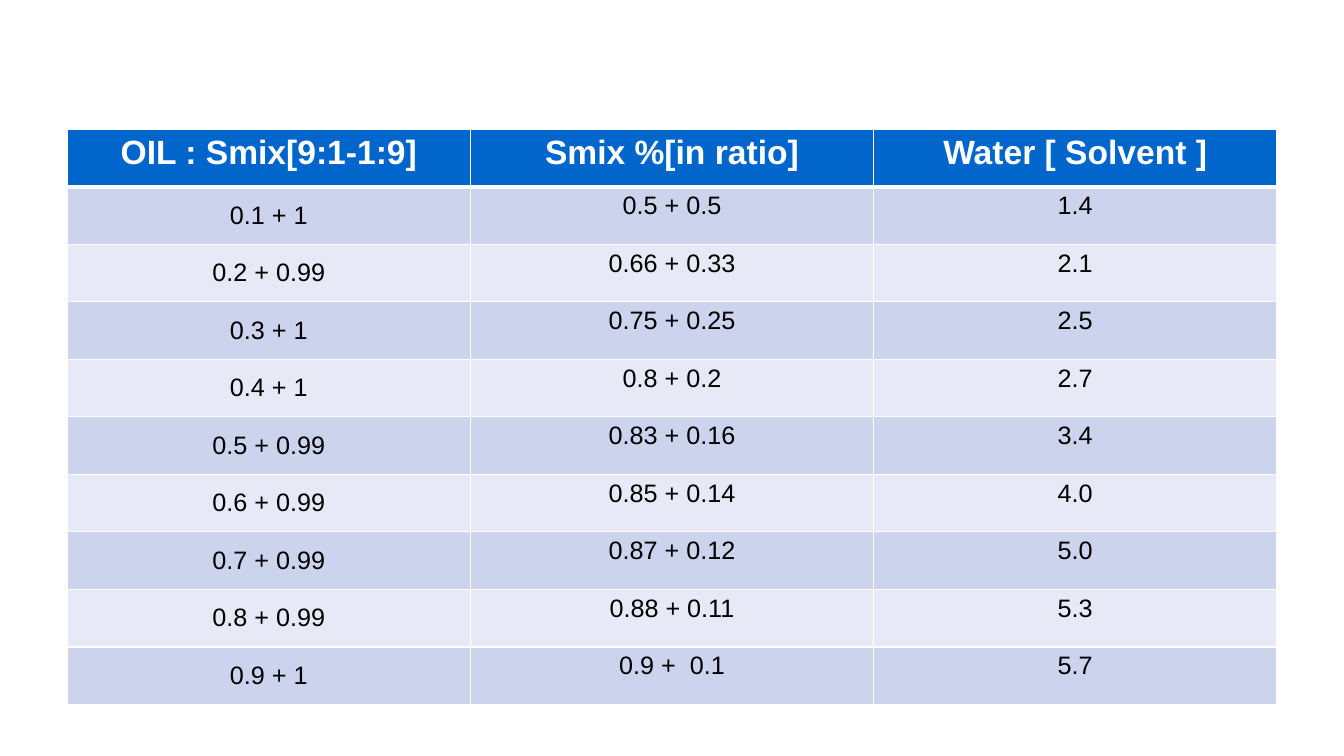
from lxml.etree import SubElement
from pptx import Presentation
from pptx.dml.color import RGBColor
from pptx.enum.text import MSO_ANCHOR as ANCHOR, PP_ALIGN as ALIGN
from pptx.oxml.ns import qn
from pptx.util import Pt

WHITE = RGBColor(0xFF, 0xFF, 0xFF)
BLACK = RGBColor(0x00, 0x00, 0x00)
BLUE = RGBColor(0x00, 0x66, 0xCC)
BAND_DARK = RGBColor(0xCC, 0xD3, 0xEC)
BAND_LIGHT = RGBColor(0xE7, 0xEA, 0xF6)

HEADER_FONT = {"name": "Arial", "size": Pt(24), "bold": True}
BODY_FONT = {"name": "Arial", "size": Pt(18), "bold": False}

COL_WIDTH, ROW_HEIGHT = Pt(288), Pt(41.1)

ROWS = [
    ("OIL : Smix[9:1-1:9]", "Smix %[in ratio]", "Water [ Solvent ]"),
    ("0.1 + 1", "0.5 + 0.5", "1.4"),
    ("0.2 + 0.99", "0.66 + 0.33", "2.1"),
    ("0.3 + 1", "0.75 + 0.25", "2.5"),
    ("0.4 + 1", "0.8 + 0.2", "2.7"),
    ("0.5 + 0.99", "0.83 + 0.16", "3.4"),
    ("0.6 + 0.99", "0.85 + 0.14", "4.0"),
    ("0.7 + 0.99", "0.87 + 0.12", "5.0"),
    ("0.8 + 0.99", "0.88 + 0.11", "5.3"),
    ("0.9 + 1", "0.9 +  0.1", "5.7"),
]


def set_borders(cell, widths):
    """Draw a white line on each side; widths maps L, R, T, B to points."""
    tc_pr = cell._tc.get_or_add_tcPr()
    for side, width in widths.items():
        ln = SubElement(tc_pr, qn(f"a:ln{side}"), w=str(Pt(width)))
        fill = SubElement(ln, qn("a:solidFill"))
        SubElement(fill, qn("a:srgbClr"), val=str(WHITE))


def set_cell(cell, text, fill, font, color, anchor):
    cell.fill.solid()
    cell.fill.fore_color.rgb = fill
    cell.vertical_anchor = anchor
    p = cell.text_frame.paragraphs[0]
    p.alignment = ALIGN.CENTER
    r = p.add_run()
    r.text = text
    for name, value in font.items():
        setattr(r.font, name, value)
    r.font.color.rgb = color


def add_ratio_table(s, left, top):
    n_rows, n_cols = len(ROWS), len(ROWS[0])
    table = s.shapes.add_table(n_rows, n_cols, left, top,
                               COL_WIDTH * n_cols, ROW_HEIGHT * n_rows).table
    for col in table.columns:
        col.width = COL_WIDTH
    for i, texts in enumerate(ROWS):
        table.rows[i].height = ROW_HEIGHT
        for j, text in enumerate(texts):
            cell = table.cell(i, j)
            # A thick line parts the header from the body
            set_borders(cell, {"L": 1, "R": 1, "T": 3 if i == 1 else 1,
                               "B": 3 if i == 0 else 1})
            if i == 0:
                set_cell(cell, text, BLUE, HEADER_FONT, WHITE, ANCHOR.TOP)
            else:
                band = BAND_DARK if i % 2 else BAND_LIGHT
                anchor = ANCHOR.MIDDLE if j == 0 else ANCHOR.TOP
                set_cell(cell, text, band, BODY_FONT, BLACK, anchor)


def main():
    prs = Presentation()
    prs.slide_width, prs.slide_height = Pt(960), Pt(540)
    # Blank layout: the slide has no title
    s = prs.slides.add_slide(prs.slide_layouts[6])
    add_ratio_table(s, Pt(48), Pt(92.4))
    prs.save("out.pptx")


if __name__ == "__main__":
    main()
